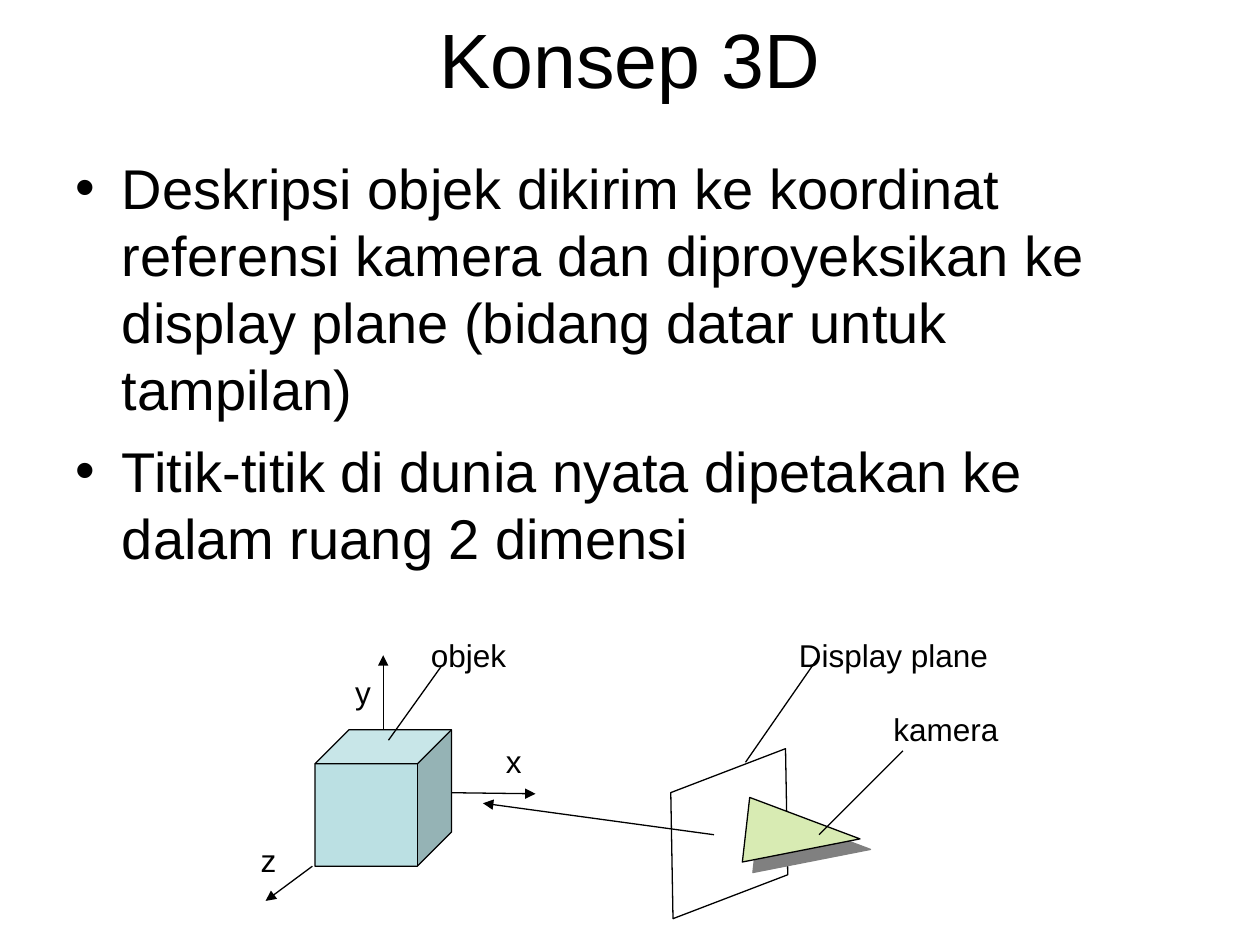
from lxml import etree
from pptx import Presentation
from pptx import util as u
from pptx.dml import color
from pptx.enum import shapes, text
from pptx.oxml import ns

COLUMNS, ROWS = 120, 90
CELL = u.Inches(10) // COLUMNS


def cells(count):
    """Turn a number of grid cells into a length."""
    return u.Emu(round(count * CELL))


def rgb(code):
    """Turn a hex string into a colour."""
    return color.RGBColor.from_string(code)


def add_xml(parent, tag, **attributes):
    """Append a DrawingML element and return it."""
    return etree.SubElement(parent, ns.qn(tag), attributes)


def set_font(paragraph, size):
    """Give a paragraph the slide's typeface."""
    paragraph.font.name = "Arial"
    paragraph.font.size = u.Pt(size)
    paragraph.font.color.rgb = rgb("000000")


def add_text(slide, box, wording, size, wrap=True):
    """Place one text box and return its frame."""
    frame = slide.shapes.add_textbox(*map(cells, box)).text_frame
    frame.word_wrap = wrap
    frame.text = wording
    for paragraph in frame.paragraphs:
        set_font(paragraph, size)
    return frame


def add_labels(slide, origin, labels):
    """Place the diagram labels relative to a region's origin."""
    for wording, column, row, width in labels:
        box = origin[0] + column, origin[1] + row, width, 4.8
        add_text(slide, box, wording, 18, wrap=False)


def add_lines(slide, origin, lines, arrow=False):
    """Draw straight lines relative to a region's origin."""
    left, top = origin
    for x1, y1, x2, y2 in lines:
        ends = left + x1, top + y1, left + x2, top + y2
        line = slide.shapes.add_connector(shapes.MSO_CONNECTOR.STRAIGHT, *map(cells, ends))
        line.line.color.rgb = rgb("000000")
        line.line.width = u.Pt(0.75)
        if arrow:
            add_xml(line.line._get_or_add_ln(), "a:tailEnd", type="triangle")
        add_xml(line._element.spPr, "a:effectLst")


def paint(shape, fill):
    """Give a solid its fill and thin black outline."""
    shape.shadow.inherit = False
    shape.fill.solid()
    shape.fill.fore_color.rgb = rgb(fill)
    shape.line.color.rgb = rgb("000000")
    shape.line.width = u.Pt(0.75)


def add_title(slide, box):
    """Place the centred heading."""
    frame = add_text(slide, box, "Konsep 3D", 44)
    frame.vertical_anchor = text.MSO_ANCHOR.MIDDLE
    frame.paragraphs[0].alignment = text.PP_ALIGN.CENTER


def add_points(slide, box, points):
    """Place the bulleted explanation."""
    frame = add_text(slide, box, "", 32)
    for index, point in enumerate(points):
        paragraph = frame.add_paragraph() if index else frame.paragraphs[0]
        paragraph.text = point
        properties = paragraph._p.get_or_add_pPr()
        properties.set("marL", str(u.Inches(0.37)))
        properties.set("indent", str(-u.Inches(0.37)))
        if index:
            paragraph.space_before = u.Pt(8)
        for old in properties.findall(ns.qn("a:defRPr")):
            properties.remove(old)
        add_xml(properties, "a:buFont", typeface="Arial")
        add_xml(properties, "a:buChar", char="•")
        set_font(paragraph, 32)


def add_object(slide, origin):
    """Draw the cube with its three axes."""
    left, top = origin
    cube_box = left + 6, top + 9.5, 13, 13
    cube = slide.shapes.add_shape(shapes.MSO_SHAPE.CUBE, *map(cells, cube_box))
    cube.adjustments[0] = 0.25
    paint(cube, "BBE0E3")
    add_lines(slide, origin, [(13, 10.5, 18, 3.5)])
    axes = [(12.5, 9.4, 12.5, 2.4), (19, 15.5, 27, 15.6), (5.75, 22.5, 1.3, 25.8)]
    add_lines(slide, origin, axes, arrow=True)
    add_labels(slide, origin, [("objek", 15.85, 0, 9.6), ("x", 23, 10.1, 3.8),
                               ("y", 8.65, 3.5, 3.8), ("z", -0.35, 19.5, 3.8)])


def add_camera_view(slide, origin):
    """Draw the display plane, the camera and the line of sight."""
    left, top = origin
    plane_box = left + 15.45, top + 13.9, 16, 11
    plane = slide.shapes.add_shape(shapes.MSO_SHAPE.PARALLELOGRAM, *map(cells, plane_box))
    plane.adjustments[0] = 0.363
    plane.rotation = 269
    plane._element.spPr.xfrm.set("flipV", "1")
    paint(plane, "FFFFFF")

    corners = [(cells(left + x), cells(top + y))
               for x, y in ((24.7, 22.1), (35.9, 19.9), (25.4, 15.95))]
    outline = slide.shapes.build_freeform(*corners[0])
    outline.add_line_segments(corners[1:], close=True)
    camera = outline.convert_to_shape()
    paint(camera, "D8EBB3")
    effects = camera._element.spPr.find(ns.qn("a:effectLst"))
    shadow = add_xml(effects, "a:outerShdw", dist=str(u.Pt(8.5)), dir="2700000",
                     algn="ctr", rotWithShape="0")
    add_xml(shadow, "a:srgbClr", val="808080")

    add_lines(slide, origin, [(25, 12.6, 32, 2.5), (32, 19.5, 40, 11.5)])
    add_lines(slide, origin, [(22, 19.5, 0, 16.5)], arrow=True)
    add_labels(slide, origin, [("Display plane", 28.9, 0, 20.4), ("kamera", 37.9, 7, 12.4)])


def main():
    """Build and save the slide."""
    deck = Presentation()
    deck.slide_width, deck.slide_height = cells(COLUMNS), cells(ROWS)
    slide = deck.slides.add_slide(deck.slide_layouts[6])
    add_title(slide, (6, -2, 108, 15))
    add_points(slide, (6, 14, 108, 59.4), [
        "Deskripsi objek dikirim ke koordinat referensi kamera dan diproyeksikan ke "
        "display plane (bidang datar untuk tampilan)",
        "Titik-titik di dunia nyata dipetakan ke dalam ruang 2 dimensi",
    ])
    add_object(slide, (24, 60))
    add_camera_view(slide, (46, 60))
    deck.save("out.pptx")


if __name__ == "__main__":
    main()
